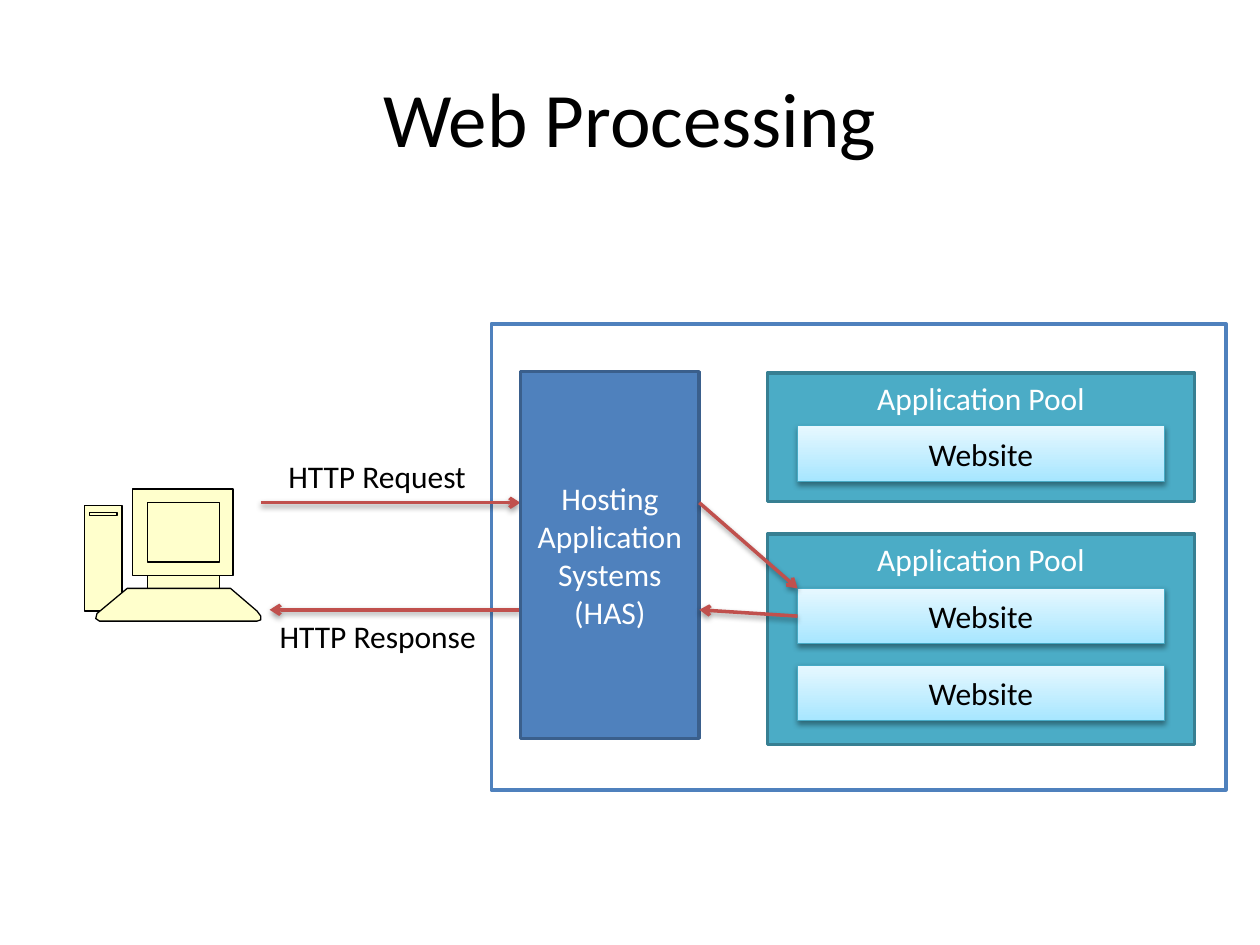
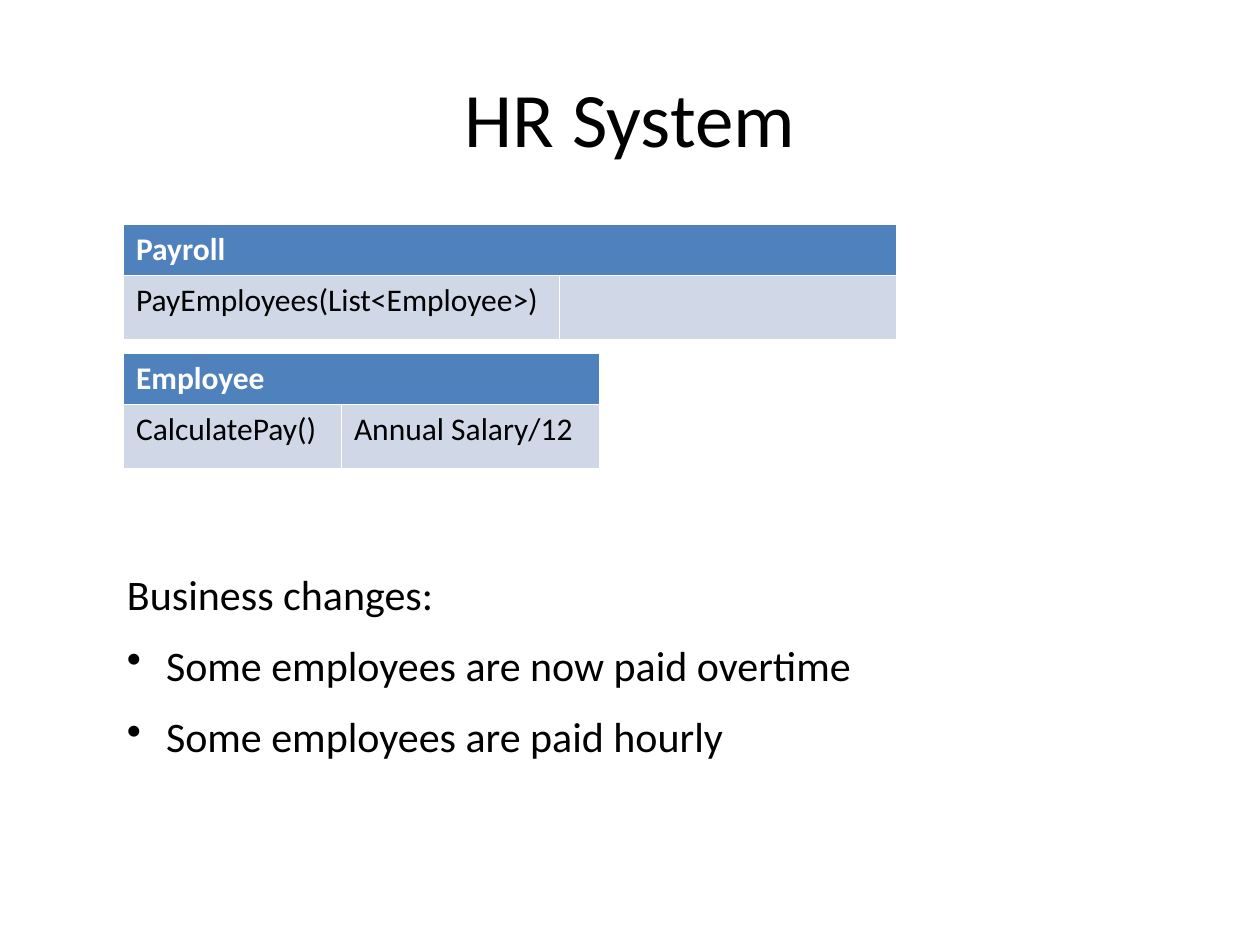
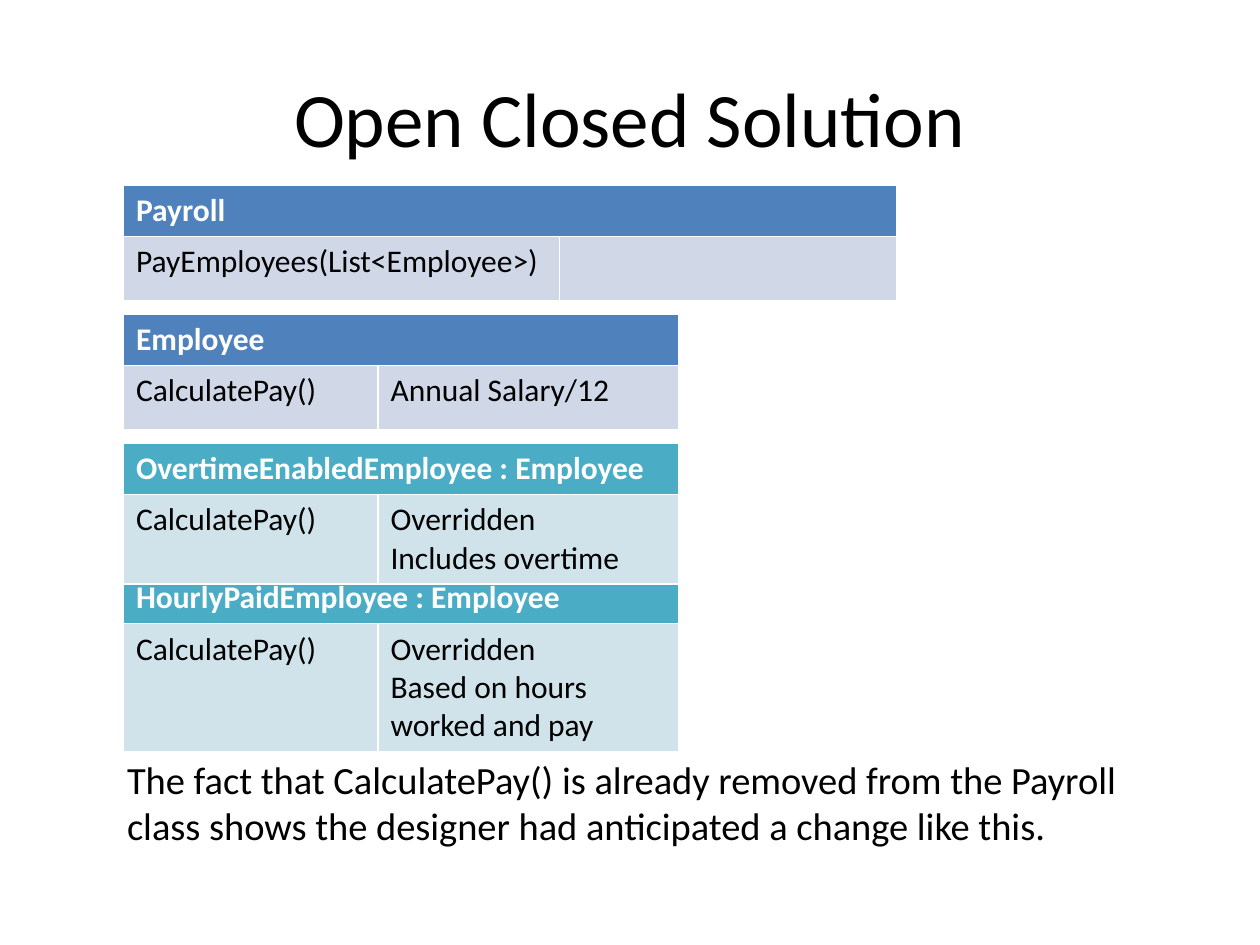
import pptx
import pptx.dml.color
import pptx.enum.shapes
import pptx.enum.text
import pptx.oxml
import pptx.oxml.ns
import pptx.util

WIDTH, HEIGHT = pptx.util.Inches(10), pptx.util.Inches(7.5)
COLUMN, ROW = WIDTH / 100, HEIGHT / 75
FONT = "Calibri"
BLACK, WHITE = "000000", "FFFFFF"
BLUE, DARK_BLUE, PALE_BLUE = "4F81BD", "3A5F8C", "D0D8E8"
TEAL, DARK_TEAL, PALE_TEAL = "4BACC6", "377F92", "D0E3EA"
SITE_EDGE, SITE_BOTTOM, SITE_TOP = "46AAC5", "A7E6FF", "E7F8FF"
RED, CREAM = "C0504D", "FFFFCC"
TABLE_LEFT, TABLE_STEP = 9.8, 10.25
HEADER_ROW, BODY_ROW = 4, 5.1
PAYROLL = ("Payroll", ("PayEmployees(List<Employee>)", ""))
EMPLOYEE = ("Employee", ("CalculatePay()", "Annual Salary/12"))
PAYROLL_COLUMNS = (34.6, 26.8)
CLASS_COLUMNS = (20.2, 23.9)

ALIGN = pptx.enum.text.PP_ALIGN
ANCHOR = pptx.enum.text.MSO_ANCHOR


def color(value):
    """Turn a hex string into a colour."""
    return pptx.dml.color.RGBColor.from_string(value)


def across(columns):
    """Length of a number of grid columns."""
    return round(columns * COLUMN)


def down(rows):
    """Length of a number of grid rows."""
    return round(rows * ROW)


def place(left, top, width, height):
    """Position and size of a grid area."""
    return across(left), down(top), across(width), down(height)


def write(frame, lines, size=18, ink=BLACK, bold=False, align=ALIGN.LEFT):
    """Fill a text frame with one paragraph for each line."""
    frame.text = "\n".join(lines)
    for paragraph in frame.paragraphs:
        paragraph.alignment = align
        font = paragraph.font
        font.name, font.size, font.bold = FONT, pptx.util.Pt(size), bold
        font.color.rgb = color(ink)


def add_titled_slide(deck, title):
    """Add a slide with the shared title style."""
    slide = deck.slides.add_slide(deck.slide_layouts[5])
    holder = slide.shapes.title
    holder.left, holder.top, holder.width, holder.height = place(5, 3, 90, 12.5)
    holder.text_frame.vertical_anchor = ANCHOR.MIDDLE
    write(holder.text_frame, [title], 44, align=ALIGN.CENTER)
    return slide


def paint(shape, fill, edge, weight):
    """Give a shape a flat fill and an outline without shadow."""
    shape.shadow.inherit = False
    shape.fill.solid()
    shape.fill.fore_color.rgb = color(fill)
    shape.line.color.rgb = color(edge)
    shape.line.width = pptx.util.Pt(weight)


def cast_shadow(shape):
    """Put a soft shadow below a shape or connector."""
    properties = shape._element.spPr
    for effects in properties.findall(pptx.oxml.ns.qn("a:effectLst")):
        properties.remove(effects)
    properties.append(pptx.oxml.parse_xml(
        f'<a:effectLst {pptx.oxml.ns.nsdecls("a")}>'
        '<a:outerShdw blurRad="40000" dist="20000" dir="5400000" rotWithShape="0">'
        '<a:srgbClr val="000000"><a:alpha val="38000"/></a:srgbClr>'
        '</a:outerShdw></a:effectLst>'))


def add_box(slide, area, fill, edge, weight=2, label="", ink=WHITE, anchor=ANCHOR.MIDDLE):
    """Add a rectangle with an optional centred label."""
    box = slide.shapes.add_shape(pptx.enum.shapes.MSO_SHAPE.RECTANGLE, *place(*area))
    paint(box, fill, edge, weight)
    if label:
        box.text_frame.vertical_anchor = anchor
        write(box.text_frame, [label], ink=ink, align=ALIGN.CENTER)
    return box


def add_pool(slide, top, height, site_tops):
    """Add an application pool with its websites."""
    add_box(slide, (60.9, top, 33.9, height), TEAL, DARK_TEAL,
            label="Application Pool", anchor=ANCHOR.TOP)
    for site_top in site_tops:
        site = add_box(slide, (63.3, site_top, 29.1, 4.4), SITE_BOTTOM, SITE_EDGE,
                       0.75, "Website", BLACK)
        site.fill.gradient()
        site.fill.gradient_angle = 90
        for stop, shade in zip(site.fill.gradient_stops, (SITE_BOTTOM, SITE_TOP)):
            stop.color.rgb = color(shade)
        cast_shadow(site)


def add_arrow(slide, start, end):
    """Add a red arrow between two grid points."""
    arrow = slide.shapes.add_connector(
        pptx.enum.shapes.MSO_CONNECTOR.STRAIGHT,
        across(start[0]), down(start[1]), across(end[0]), down(end[1]))
    arrow.line.color.rgb = color(RED)
    arrow.line.width = pptx.util.Pt(2)
    arrow.line._get_or_add_ln().append(pptx.oxml.parse_xml(
        f'<a:tailEnd {pptx.oxml.ns.nsdecls("a")} type="arrow"/>'))
    cast_shadow(arrow)


def add_text(slide, area, lines, size=18, wrap=True):
    """Add a text box."""
    box = slide.shapes.add_textbox(*place(*area))
    box.text_frame.word_wrap = wrap
    write(box.text_frame, lines, size)
    return box


def add_bullet(paragraph):
    """Give a paragraph a hanging bullet."""
    properties = paragraph._p.get_or_add_pPr()
    indent = across(3.1)
    properties.set("marL", str(indent))
    properties.set("indent", str(-indent))
    properties.append(pptx.oxml.parse_xml(
        f'<a:buChar {pptx.oxml.ns.nsdecls("a")} char="•"/>'))


def add_computer(slide):
    """Draw a desktop computer from simple outlines."""
    parts = ((6.7, 40.1, 3, 8.4), (7.1, 40.7, 2.2, 0.2), (11.7, 45.7, 5.7, 1),
             (10.5, 38.8, 8, 6.9), (11.7, 39.9, 5.7, 4.7))
    for part in parts:
        add_box(slide, part, CREAM, BLACK, 0.75)
    corners = [(10.1, 46.7), (18.3, 46.7), (20.4, 48.5), (20.7, 48.9), (20.7, 49.2),
               (20.4, 49.3), (7.9, 49.3), (7.6, 49.1), (7.7, 48.7)]
    points = [(across(left), down(top)) for left, top in corners]
    outline = slide.shapes.build_freeform(*points[0])
    outline.add_line_segments(points[1:])
    paint(outline.convert_to_shape(), CREAM, BLACK, 0.75)


def add_class_table(slide, top, widths, content, head=BLUE, body=PALE_BLUE, body_row=BODY_ROW):
    """Add a class name above its method and the method's behaviour."""
    name, members = content
    area = place(TABLE_LEFT, top, sum(widths), HEADER_ROW + body_row)
    table = slide.shapes.add_table(2, 2, *area).table
    table.horz_banding = False
    for column, width in zip(table.columns, widths):
        column.width = across(width)
    for row, height in zip(table.rows, (HEADER_ROW, body_row)):
        row.height = down(height)
    table.cell(0, 0).merge(table.cell(0, 1))
    for row, texts, fill, ink in ((0, (name, ""), head, WHITE), (1, members, body, BLACK)):
        for column, text in enumerate(texts):
            cell = table.cell(row, column)
            cell.fill.solid()
            cell.fill.fore_color.rgb = color(fill)
            write(cell.text_frame, text.split("\n"), ink=ink, bold=row == 0)


def build_web_processing(deck):
    """Show a request passing through the web server."""
    slide = add_titled_slide(deck, "Web Processing")
    add_box(slide, (39, 25.7, 58.3, 37), WHITE, BLUE)
    add_computer(slide)
    server_left, server_right, site_left = 41.3, 55.5, 63.3
    request_row, response_row = 39.9, 48.4
    add_arrow(slide, (20.7, request_row), (server_left, request_row))
    add_text(slide, (21.9, 35.8, 16.3, 4), ["HTTP Request"], wrap=False)
    add_arrow(slide, (server_left, response_row), (21.4, response_row))
    add_text(slide, (21.2, 48.5, 17.8, 4), ["HTTP Response"], wrap=False)
    add_box(slide, (server_left, 29.5, server_right - server_left, 29.1), BLUE, DARK_BLUE,
            label="Hosting Application Systems (HAS)")
    add_pool(slide, 29.6, 10.2, [33.8])
    add_pool(slide, 42.4, 16.7, [46.7, 52.8])
    add_arrow(slide, (server_right, request_row), (site_left, 46.7))
    add_arrow(slide, (site_left, 48.9), (server_right, response_row))


def build_hr_system(deck):
    """Show the first classes and the coming changes."""
    slide = add_titled_slide(deck, "HR System")
    top = 17.8
    add_class_table(slide, top + TABLE_STEP, (17.3, 20.5), EMPLOYEE)
    add_class_table(slide, top, PAYROLL_COLUMNS, PAYROLL)
    changes = add_text(slide, (9.1, 44.6, 82.7, 16.5), [
        "Business changes:",
        "Some employees are now paid overtime",
        "Some employees are paid hourly"], 24)
    for number, paragraph in enumerate(changes.text_frame.paragraphs):
        paragraph.space_before = pptx.util.Pt(12)
        if number:
            add_bullet(paragraph)


def build_open_closed(deck):
    """Show the subclasses that extend the employee class."""
    slide = add_titled_slide(deck, "Open Closed Solution")
    payroll, employee, overtime, hourly = (14.7 + step * TABLE_STEP for step in range(4))
    add_class_table(slide, employee, CLASS_COLUMNS, EMPLOYEE)
    add_class_table(slide, payroll, PAYROLL_COLUMNS, PAYROLL)
    add_class_table(slide, hourly, CLASS_COLUMNS, (
        "HourlyPaidEmployee : Employee",
        ("CalculatePay()", "Overridden\nBased on hours worked and pay")), TEAL, PALE_TEAL, 10)
    add_class_table(slide, overtime, CLASS_COLUMNS, (
        "OvertimeEnabledEmployee : Employee",
        ("CalculatePay()", "Overridden\nIncludes overtime")), TEAL, PALE_TEAL, 7)
    add_text(slide, (9.1, 59.5, 81.1, 8.4), [
        "The fact that CalculatePay() is already removed from the Payroll class "
        "shows the designer had anticipated a change like this."], 22)


def main():
    """Build and save the deck."""
    deck = pptx.Presentation()
    deck.slide_width, deck.slide_height = WIDTH, HEIGHT
    build_web_processing(deck)
    build_hr_system(deck)
    build_open_closed(deck)
    deck.save("out.pptx")


if __name__ == "__main__":
    main()
